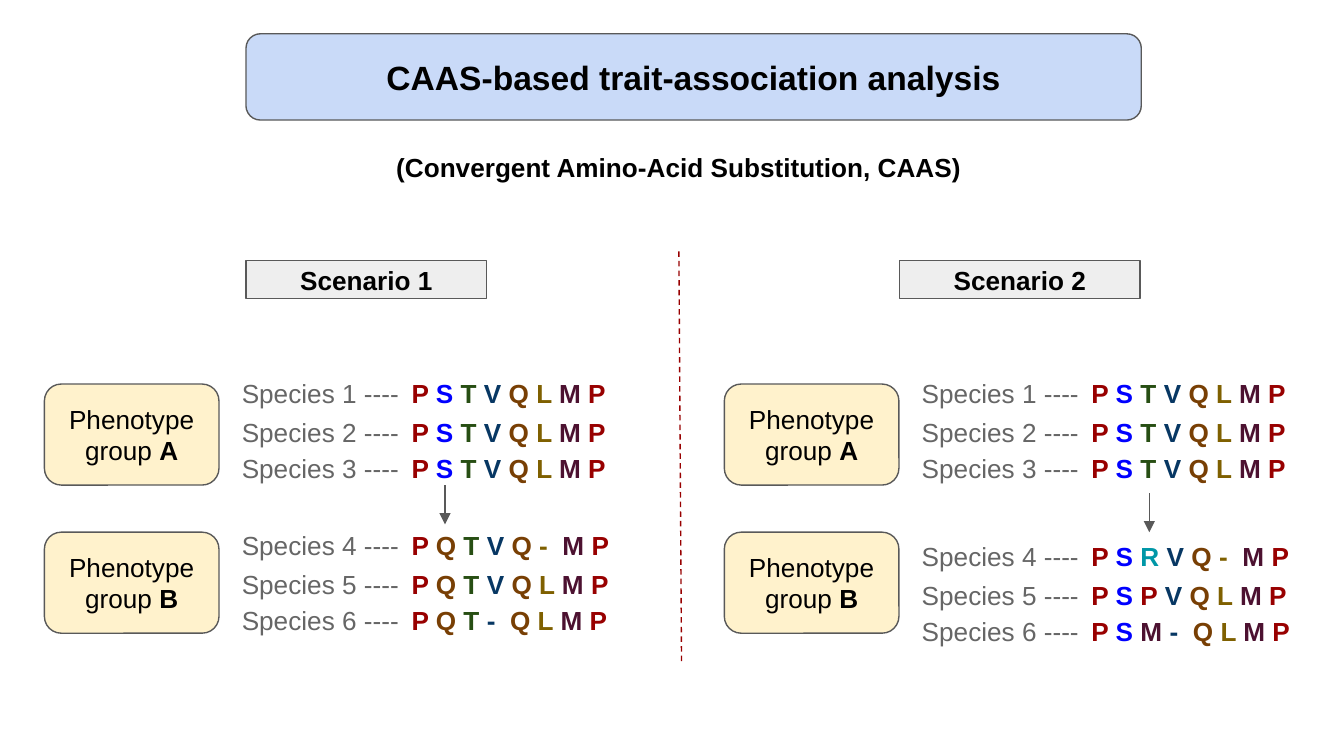
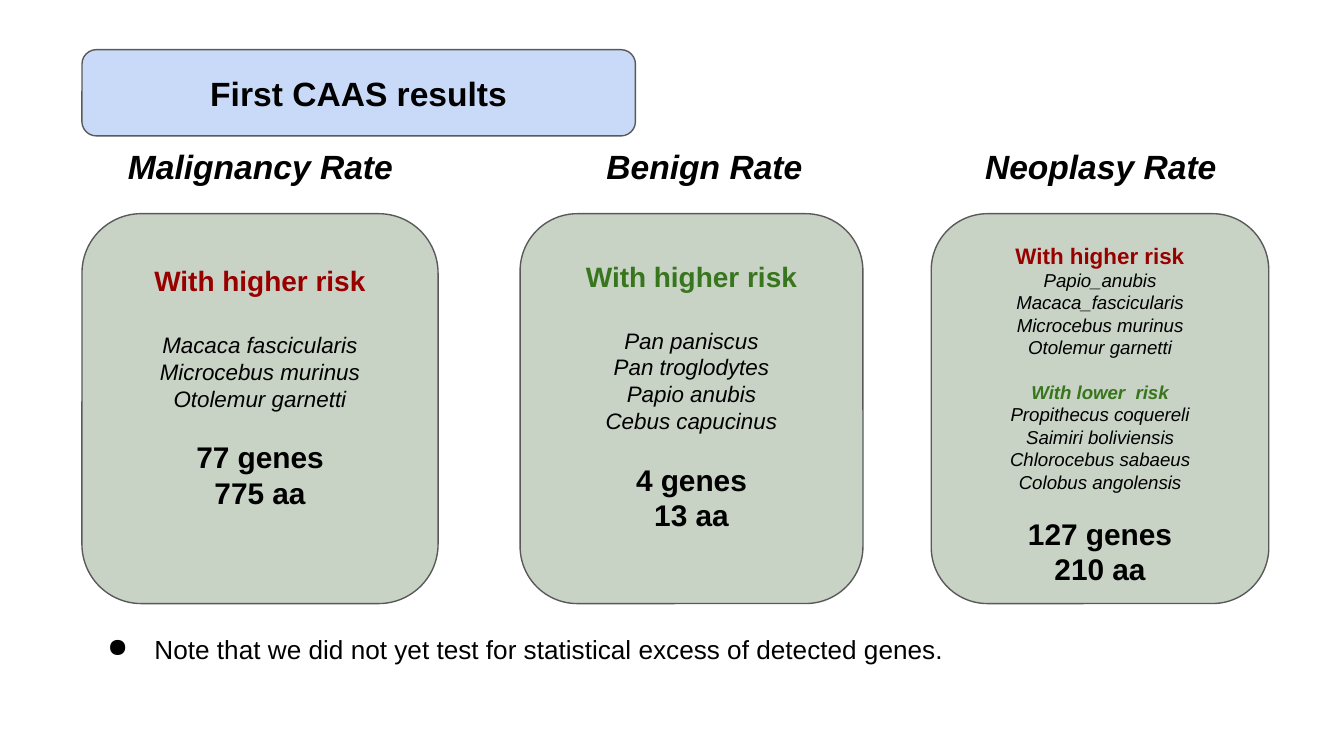
from lxml import etree
from pptx import Presentation
from pptx import util as u
from pptx.dml import color
from pptx.enum import dml, shapes, text
from pptx.oxml import ns

BLACK, GREY, RED, GREEN = "000000", "666666", "980000", "38761D"
OUTLINE, BLUE, CREAM, PALE, SAGE = "595959", "C9DAF8", "FFF2CC", "EEEEEE", "C8D2C5"
CONSENSUS = "PSTVQLMP"
RESIDUE_COLORS = {
    "P": RED, "S": "0000FF", "T": "274E13", "V": "073763",
    "Q": "783F04", "L": "7F6000", "M": "4C1130", "R": "0097A7",
}
ROUND, RECTANGLE = shapes.MSO_SHAPE.ROUNDED_RECTANGLE, shapes.MSO_SHAPE.RECTANGLE


def rgb(value):
    return color.RGBColor.from_string(value)


def add_element(parent, tag, **attributes):
    return etree.SubElement(parent, ns.qn(tag), attributes)


def run(content, size=14, fill=BLACK, bold=False, italic=False):
    return content, size, fill, bold, italic


class Deck:
    font_name = "Arial"
    inset = 0.25
    line_width = 0.75

    def __init__(self):
        self.presentation = Presentation()
        self.presentation.slide_width = u.Cm(25.4)
        self.presentation.slide_height = u.Cm(14.29)
        self.slide = None

    def new_slide(self):
        self.slide = self.presentation.slides.add_slide(self.presentation.slide_layouts[6])

    def fill_text(self, shape, paragraphs, centered, top_inset=None):
        frame = shape.text_frame
        frame.word_wrap = True
        frame.margin_left = frame.margin_right = frame.margin_bottom = u.Cm(self.inset)
        frame.margin_top = u.Cm(self.inset if top_inset is None else top_inset)
        for index, (space_before, runs) in enumerate(paragraphs):
            paragraph = frame.add_paragraph() if index else frame.paragraphs[0]
            paragraph.alignment = text.PP_ALIGN.CENTER if centered else text.PP_ALIGN.LEFT
            paragraph.space_before = u.Pt(space_before)
            for content, size, fill, bold, italic in runs:
                piece = paragraph.add_run()
                piece.text = content
                font = piece.font
                font.name, font.size = self.font_name, u.Pt(size)
                font.bold, font.italic = bold, italic
                font.color.rgb = rgb(fill)

    def box(self, kind, place, fill, paragraphs, top_inset=None):
        shape = self.slide.shapes.add_shape(kind, *map(u.Cm, place))
        shape.shadow.inherit = False
        shape.fill.solid()
        shape.fill.fore_color.rgb = rgb(fill)
        shape.line.color.rgb = rgb(OUTLINE)
        shape.line.width = u.Pt(self.line_width)
        self.fill_text(shape, paragraphs, True, top_inset)
        anchor = text.MSO_ANCHOR.MIDDLE if top_inset is None else text.MSO_ANCHOR.TOP
        shape.text_frame.vertical_anchor = anchor

    def label(self, place, runs, centered=False, top_inset=None):
        shape = self.slide.shapes.add_textbox(*map(u.Cm, place))
        self.fill_text(shape, [(0, runs)], centered, top_inset)
        return shape

    def title(self, place, content):
        self.box(ROUND, place, BLUE, [(0, [run(content, 18, bold=True)])])

    def bullet(self, place, content):
        shape = self.label(place, [run(content)])
        properties = shape.text_frame.paragraphs[0]._p.get_or_add_pPr()
        properties.set("marL", str(u.Cm(1.27)))
        properties.set("indent", str(-u.Cm(0.89)))
        add_element(add_element(properties, "a:buClr"), "a:srgbClr", val=BLACK)
        add_element(properties, "a:buChar", char="●")

    def line(self, start, end, stroke, dashed=False, arrow=False):
        connector = self.slide.shapes.add_connector(
            shapes.MSO_CONNECTOR.STRAIGHT, *map(u.Cm, start + end))
        connector.line.color.rgb = rgb(stroke)
        connector.line.width = u.Pt(self.line_width)
        if dashed:
            connector.line.dash_style = dml.MSO_LINE.DASH
        properties = connector._element.spPr
        if arrow:
            add_element(properties.get_or_add_ln(), "a:tailEnd", type="triangle")
        add_element(properties, "a:effectLst")

    def alignment(self, left, top, first_species, sequences):
        for index, (offset, sequence) in enumerate(zip((0, 0.74, 1.42), sequences)):
            runs = [run(f"Species {first_species + index} ---- ", fill=GREY),
                    run(" ", 10, bold=True)]
            for column, (residue, usual) in enumerate(zip(sequence, CONSENSUS), 1):
                gap = residue == "-"
                fill = RESIDUE_COLORS[usual if gap else residue]
                space = "  " if gap else " " if column < len(sequence) else ""
                runs.append(run(residue + space, fill=fill, bold=True))
            self.label((left, top + offset, 7.7, 0.69), runs)

    def scenario(self, number, left, header_left, lower_top, arrow_x, arrow_y, changed):
        self.box(RECTANGLE, (header_left, 4.93, 4.55, 0.71), PALE,
                 [(0, [run(f"Scenario {number}", bold=True)])])
        for group, top in (("A", 7.26), ("B", 10.06)):
            self.box(ROUND, (left, top, 3.3, 1.91), CREAM,
                     [(0, [run("Phenotype group "), run(group, bold=True)])])
        self.alignment(left + 3.48, 6.88, 1, [CONSENSUS] * 3)
        self.alignment(left + 3.48, lower_top, 4, changed)
        self.line((arrow_x, arrow_y), (arrow_x, arrow_y + 0.74), OUTLINE, arrow=True)

    def result(self, heading, heading_left, left, width, top_inset, risks, counts, sizes):
        risk_size, species_size, heading_gap, block_gap = sizes
        paragraphs = []
        for index, (risk, size, fill, italic, species) in enumerate(risks):
            paragraphs.append((block_gap if index else 0,
                               [run(risk, size or risk_size, fill, True, italic)]))
            for position, name in enumerate(species):
                paragraphs.append((0 if position else heading_gap,
                                   [run(name, species_size, italic=True)]))
        for index, count in enumerate(counts):
            paragraphs.append((0 if index else block_gap, [run(count, 16, bold=True)]))
        self.box(ROUND, (left, 4.04, width, 7.37), SAGE, paragraphs, top_inset)
        self.label((heading_left, 2.08, 6.05, 1.14),
                   [run(heading, 18, bold=True, italic=True)], True, 0.86)


def build_method(deck):
    deck.new_slide()
    deck.title((4.65, 0.64, 16.92, 1.63), "CAAS-based trait-association analysis")
    deck.label((3.84, 2.62, 17.98, 1.57),
               [run("(Convergent Amino-Acid Substitution, CAAS)", bold=True)], True)
    deck.line((12.83, 4.75), (12.88, 12.5), RED, dashed=True)
    deck.scenario(1, 0.84, 4.65, 9.75, 8.41, 9.17, ["PQTVQ-MP", "PQTVQLMP", "PQT-QLMP"])
    deck.scenario(2, 13.69, 17, 9.96, 21.72, 9.32, ["PSRVQ-MP", "PSPVQLMP", "PSM-QLMP"])


def build_results(deck):
    deck.new_slide()
    deck.title((1.55, 0.94, 10.46, 1.63), "First CAAS results")
    higher = "With higher risk"
    deck.result(
        "Malignancy Rate", 1.9, 1.55, 6.73, 0.62,
        [(higher, None, RED, False,
          ["Macaca fascicularis", "Microcebus murinus", "Otolemur garnetti"])],
        ["77 genes", "775 aa"], (15, 12, 18, 14.5))
    deck.result(
        "Benign Rate", 10.29, 9.83, 6.48, 0.55,
        [(higher, None, GREEN, False,
          ["Pan paniscus", "Pan troglodytes", "Papio anubis", "Cebus capucinus"])],
        ["4 genes", "13 aa"], (15, 12, 18, 14.5))
    deck.result(
        "Neoplasy Rate", 17.78, 17.6, 6.38, 0.22,
        [(higher, None, RED, False,
          ["Papio_anubis", "Macaca_fascicularis", "Microcebus murinus", "Otolemur garnetti"]),
         ("With lower  risk", 10, GREEN, True,
          ["Propithecus coquereli", "Saimiri boliviensis", "Chlorocebus sabaeus",
           "Colobus angolensis"])],
        ["127 genes", "210 aa"], (12, 10, 0, 12))
    deck.bullet((1.4, 11.73, 21.82, 1.78),
                "Note that we did not yet test for statistical excess of detected genes.")


def main():
    deck = Deck()
    build_method(deck)
    build_results(deck)
    deck.presentation.save("out.pptx")


if __name__ == "__main__":
    main()
